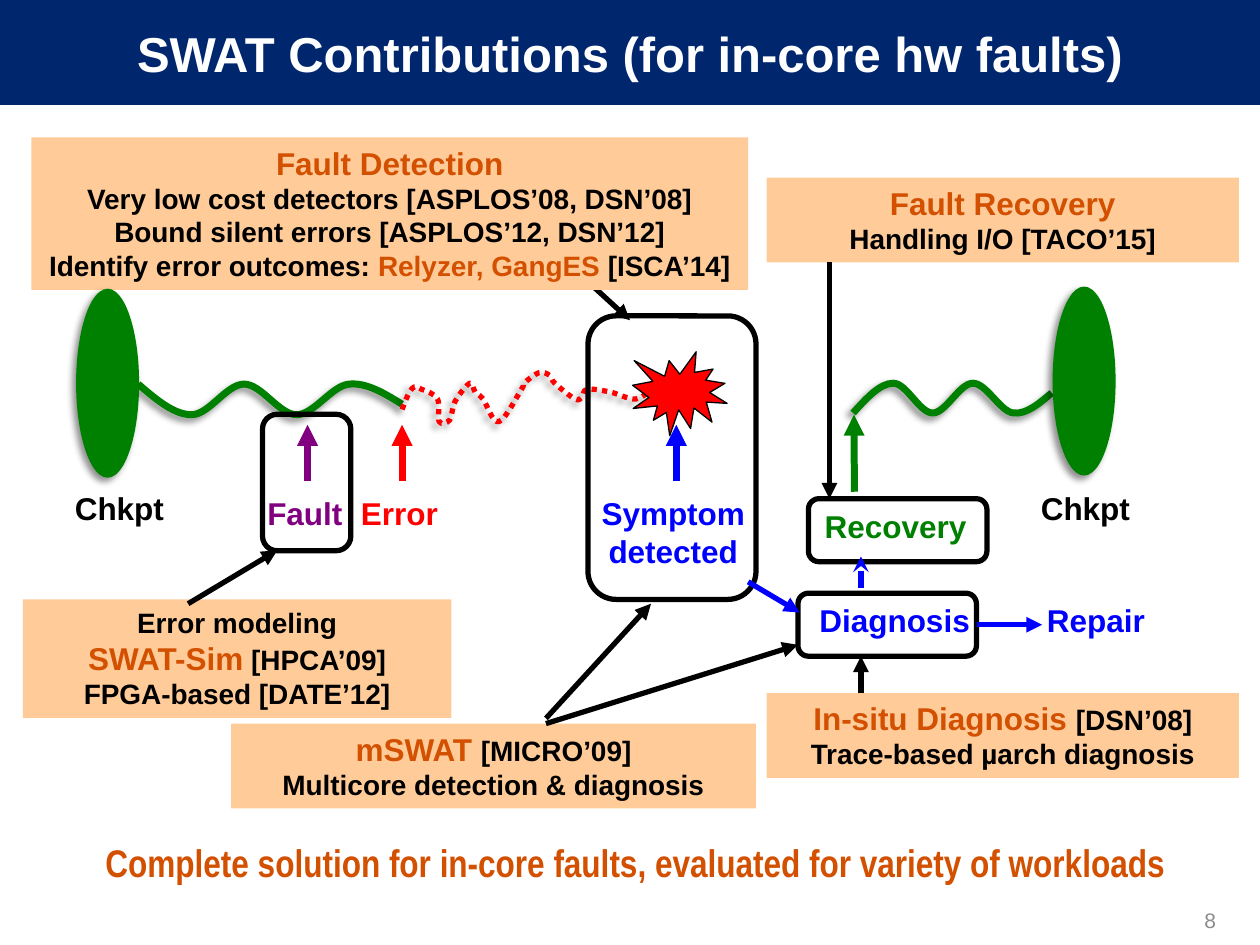
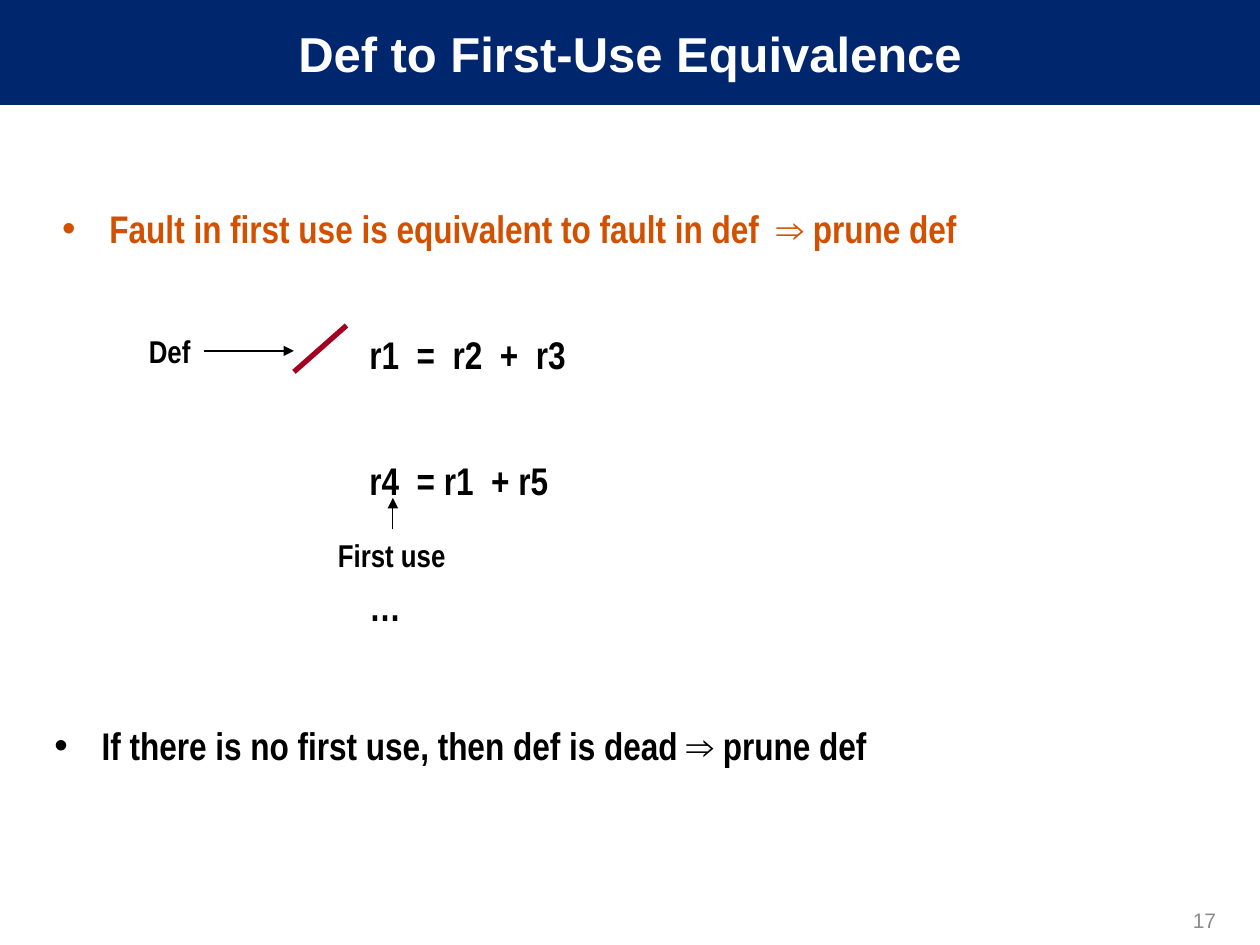
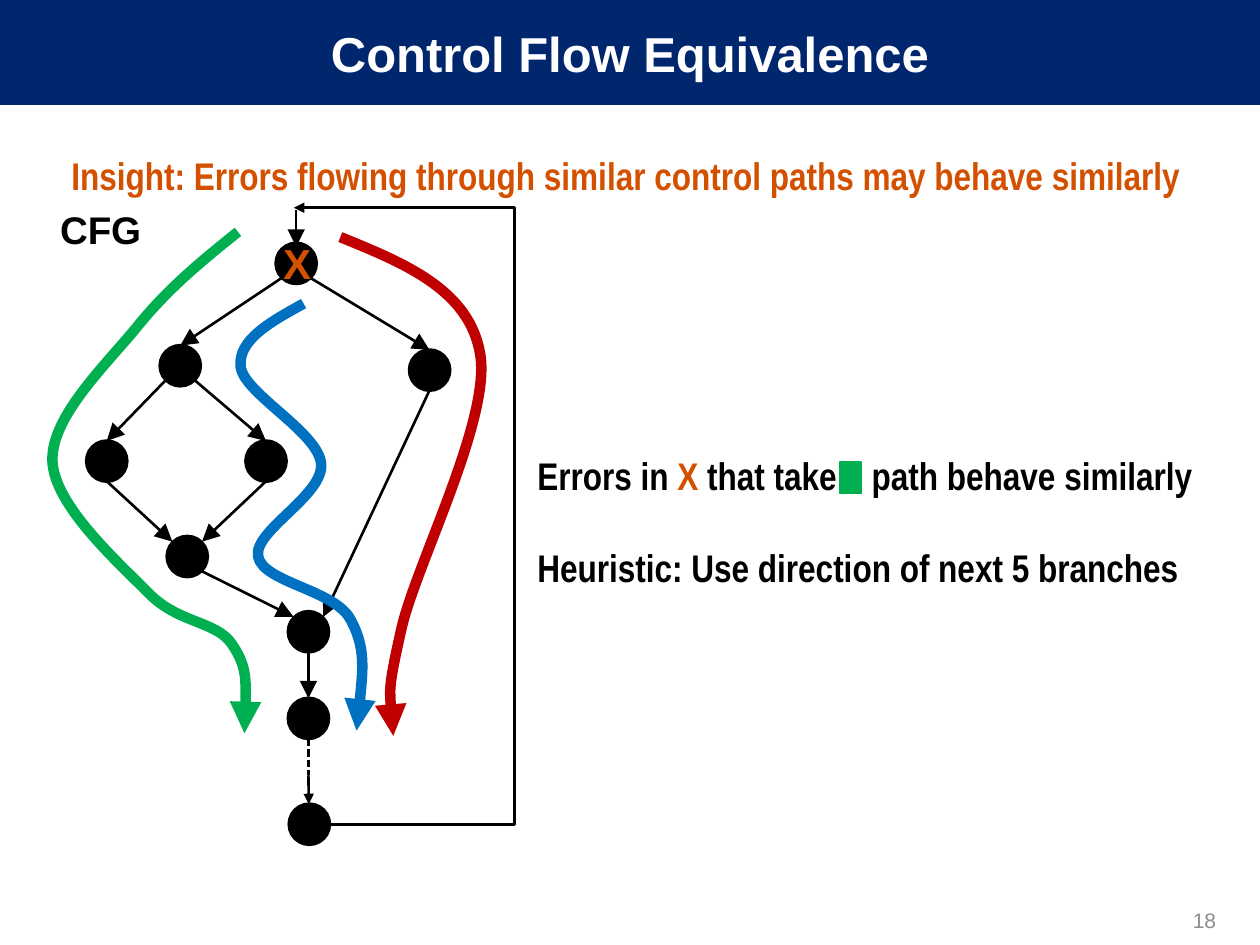
from pptx import Presentation
from pptx.dml.color import RGBColor
from pptx.enum.dml import MSO_LINE
from pptx.enum.shapes import MSO_CONNECTOR, MSO_SHAPE
from pptx.enum.text import MSO_ANCHOR, MSO_AUTO_SIZE, PP_ALIGN
from pptx.oxml import parse_xml
from pptx.oxml.ns import nsdecls, qn
from pptx.util import Pt

NAVY = RGBColor(0x00, 0x26, 0x6E)
WHITE = RGBColor(0xFF, 0xFF, 0xFF)
BLACK = RGBColor(0x00, 0x00, 0x00)
GRAY = RGBColor(0x8C, 0x8C, 0x8C)
ORANGE = RGBColor(0xD2, 0x50, 0x00)
PEACH = RGBColor(0xFF, 0xCC, 0x99)
GREEN = RGBColor(0x00, 0x80, 0x00)
RED = RGBColor(0xFF, 0x00, 0x00)
BLUE = RGBColor(0x00, 0x00, 0xFF)
PURPLE = RGBColor(0x80, 0x00, 0x80)
CRIMSON = RGBColor(0xA5, 0x00, 0x21)
PATH_GREEN = RGBColor(0x00, 0xB0, 0x50)
PATH_BLUE = RGBColor(0x00, 0x70, 0xC0)
PATH_RED = RGBColor(0xC0, 0x00, 0x00)

CENTER, LEFT, RIGHT = PP_ALIGN.CENTER, PP_ALIGN.LEFT, PP_ALIGN.RIGHT
MIDDLE = MSO_ANCHOR.MIDDLE
STRAIGHT, ELBOW = MSO_CONNECTOR.STRAIGHT, MSO_CONNECTOR.ELBOW
DOTS, DASHES = MSO_LINE.ROUND_DOT, MSO_LINE.SQUARE_DOT
OVAL, RECT = MSO_SHAPE.OVAL, MSO_SHAPE.RECTANGLE
ROUNDED, BURST = MSO_SHAPE.ROUNDED_RECTANGLE, MSO_SHAPE.EXPLOSION1
NARROW = "Arial Narrow"

NO_SHADOW = f"<a:effectLst {nsdecls('a')}/>"
SOFT_SHADOW = (f'<a:effectLst {nsdecls("a")}><a:outerShdw blurRad="50800" dist="38100" dir="8100000">'
               '<a:srgbClr val="000000"><a:alpha val="43000"/></a:srgbClr></a:outerShdw></a:effectLst>')


def add_text(s, box, paras, size=18, color=BLACK, align=CENTER, fill=None,
             font="Arial", wrap=True, bold=True):
    """Each paragraph is a string or a list of (text, size, color) runs."""
    sp = s.shapes.add_textbox(*map(Pt, box))
    if fill is not None:
        sp.fill.solid()
        sp.fill.fore_color.rgb = fill
    tf = sp.text_frame
    tf.word_wrap = wrap
    for i, para in enumerate(paras):
        p = tf.paragraphs[0] if i == 0 else tf.add_paragraph()
        p.alignment = align
        runs = [(para, size, color)] if isinstance(para, str) else para
        for text, run_size, run_color in runs:
            r = p.add_run()
            r.text = text
            r.font.name, r.font.size, r.font.bold = font, Pt(run_size), bold
            r.font.color.rgb = run_color
    return sp


def add_stroke(s, points, color=BLACK, width=3, tail="triangle", dash=None,
               effect=NO_SHADOW, kind=STRAIGHT, head_size="med"):
    """Two points give a connector, more give a smooth curve through them."""
    if len(points) == 2:
        sp = s.shapes.add_connector(kind, *(Pt(v) for point in points for v in point))
    else:
        knots = [(Pt(x), Pt(y)) for x, y in points]
        builder = s.shapes.build_freeform(*knots[0])
        builder.add_line_segments(knots[1:], close=False)
        sp = builder.convert_to_shape()
        sp.fill.background()
        # Bend each segment: tangents follow the neighbouring knots
        local = [(int(pt.get("x")), int(pt.get("y"))) for pt in sp.element.iter(qn("a:pt"))]
        segments = list(sp.element.iter(qn("a:lnTo")))
        for i, segment in enumerate(segments):
            a, b = local[i], local[i + 1]
            before, after = local[max(i - 1, 0)], local[min(i + 2, len(segments))]
            c1 = [p + (q - o) / 6 for o, p, q in zip(before, a, b)]
            c2 = [q - (u - p) / 6 for p, q, u in zip(a, b, after)]
            if i == 0:
                c1 = [(p + c) / 2 for p, c in zip(a, c2)]
            elif i == len(segments) - 1:
                c2 = [(c + q) / 2 for c, q in zip(c1, b)]
            pts = "".join(f'<a:pt x="{round(x)}" y="{round(y)}"/>' for x, y in (c1, c2, b))
            segment.getparent().replace(
                segment, parse_xml(f'<a:cubicBezTo {nsdecls("a")}>{pts}</a:cubicBezTo>'))
    sp.line.color.rgb = color
    sp.line.width = Pt(width)
    if dash is not None:
        sp.line.dash_style = dash
    if tail:
        sp.line._get_or_add_ln().append(parse_xml(
            f'<a:tailEnd {nsdecls("a")} type="{tail}" w="{head_size}" len="{head_size}"/>'))
    sp.element.spPr.append(parse_xml(effect))
    return sp


prs = Presentation()
prs.slide_width, prs.slide_height = Pt(720), Pt(540)

# Shared title band and slide number
slides = []
for title, number in (("SWAT Contributions (for in-core hw faults)", 8),
                      ("Def to First-Use Equivalence", 17),
                      ("Control Flow Equivalence", 18)):
    s = prs.slides.add_slide(prs.slide_layouts[5])
    sp = s.shapes.title
    sp.left, sp.top, sp.width, sp.height = Pt(0), Pt(0), Pt(720), Pt(60)
    sp.fill.solid()
    sp.fill.fore_color.rgb = NAVY
    tf = sp.text_frame
    tf.text = title
    tf.auto_size = MSO_AUTO_SIZE.NONE
    tf.vertical_anchor = MIDDLE
    p = tf.paragraphs[0]
    p.alignment = CENTER
    font = p.runs[0].font
    font.name, font.size, font.bold = "Arial", Pt(28), True
    font.color.rgb = WHITE
    sp = add_text(s, (534, 511.5, 168, 28.5), [str(number)], 12, GRAY, RIGHT, bold=False)
    sp.text_frame.vertical_anchor = MIDDLE
    slides.append(s)
contributions, first_use, control_flow = slides

# Slide 1: contribution boxes
s = contributions
add_stroke(s, [(324, 150), (360, 183)])
for box, paras in (
    ((18, 78.5, 409.5, 87.25), [
        [("Fault Detection", 18, ORANGE)],
        "Very low cost detectors [ASPLOS’08, DSN’08]",
        "Bound silent errors [ASPLOS’12, DSN’12]",
        [("Identify error outcomes: ", 16, BLACK), ("Relyzer, GangES ", 16, ORANGE),
         ("[ISCA’14]", 16, BLACK)]]),
    ((438, 101.5, 270, 48.5), [[("Fault Recovery", 18, ORANGE)], "Handling I/O [TACO’15]"]),
    ((13, 342.5, 245, 67.75), [
        "Error modeling",
        [("SWAT-Sim", 18, ORANGE), (" [HPCA’09]", 16, BLACK)],
        "FPGA-based [DATE’12]"]),
    ((132, 413.5, 300, 48.5), [
        [("mSWAT ", 18, ORANGE), ("[MICRO’09]", 16, BLACK)],
        "Multicore detection & diagnosis"]),
    ((438, 396, 270, 48.5), [
        [("In-situ Diagnosis ", 18, ORANGE), ("[DSN’08]", 16, BLACK)],
        "Trace-based µarch diagnosis"]),
):
    add_text(s, box, paras, 16, fill=PEACH)

# Execution timeline between checkpoints
add_stroke(s, [(79, 219.5), (109.5, 237), (139.5, 219.5), (169.5, 237), (199.5, 219.5), (229.75, 231)],
           GREEN, 4, None, effect=SOFT_SHADOW)
add_stroke(s, [(229.75, 234), (235.5, 222), (241, 222.5), (250, 228), (251, 241), (257, 240),
               (260, 229.5), (268.5, 219), (271.5, 224), (276, 228), (285, 241), (298, 222.5),
               (299.5, 219), (308, 213), (314, 214.5), (317, 219), (328.5, 228), (332.5, 227),
               (335.5, 222.5), (348.5, 224), (363.5, 228), (373.5, 220.5)],
           RED, 3, None, DOTS, SOFT_SHADOW)
add_stroke(s, [(487.5, 236), (510.5, 219), (533, 236), (556, 219), (579, 236), (601, 224.5)],
           GREEN, 4, None, effect=SOFT_SHADOW)
for kind, box, color, effect in ((OVAL, (43.5, 165, 36, 108), GREEN, SOFT_SHADOW),
                                 (OVAL, (601.5, 163.75, 36, 108), GREEN, SOFT_SHADOW),
                                 (BURST, (361.5, 201, 54, 48), RED, NO_SHADOW)):
    sp = s.shapes.add_shape(kind, *map(Pt, box))
    sp.fill.solid()
    sp.fill.fore_color.rgb = color
    if kind == BURST:
        sp.line.color.rgb = BLACK
        sp.line.width = Pt(0.75)
    else:
        sp.line.fill.background()
    sp.element.spPr.append(parse_xml(effect))

# Outlines around the stages; the last one is the diagnosis stage
for box in ((336, 180.5, 96, 162), (150, 236.75, 50.5, 78), (462, 285, 102, 36), (456, 339, 102, 36)):
    diagnosis = s.shapes.add_shape(ROUNDED, *map(Pt, box))
    diagnosis.shadow.inherit = False
    diagnosis.fill.background()
    diagnosis.line.color.rgb = BLACK
    diagnosis.line.width = Pt(3)

for start, end, color, width in (
    ((175.75, 275), (175.75, 242.75), PURPLE, 4),
    ((229.75, 275), (229.75, 242.75), RED, 4),
    ((386.5, 275), (386.5, 242.75), BLUE, 4),
    ((488.25, 281), (488, 237), GREEN, 4),
    ((427.5, 332.5), (457, 350), BLUE, 3),
    ((492, 396), (492, 375), BLACK, 3),
    ((474, 150), (474, 285), BLACK, 3),
    ((107.5, 345), (158.5, 314.5), BLACK, 3),
    ((312, 410.5), (372, 345), BLACK, 3),
    ((312, 413.5), (456, 368.5), BLACK, 3),
):
    add_stroke(s, [start, end], color, width)
add_stroke(s, [(492, 336), (492, 318)], BLUE, tail="stealth")
repair_arrow = add_stroke(s, [(558, 357), (595.5, 357)], BLUE)
repair_arrow.begin_connect(diagnosis, 3)

for box, lines, color in (
    ((35.25, 276, 66, 29), ["Chkpt"], BLACK),
    ((587.25, 276, 66, 29), ["Chkpt"], BLACK),
    ((145.5, 278.75, 57.5, 29), ["Fault"], PURPLE),
    ((199, 278.75, 58.5, 29), ["Error"], RED),
    ((336.25, 278.75, 97, 51), ["Symptom", "detected"], BLUE),
    ((462.25, 286, 99, 29), ["Recovery"], GREEN),
    ((460.75, 340, 101, 29), ["Diagnosis"], BLUE),
    ((591, 340, 70.5, 29), ["Repair"], BLUE),
):
    add_text(s, box, lines, 18, color, wrap=False)
add_text(s, (18, 476, 690, 34),
         ["Complete solution for in-core faults, evaluated for variety of workloads"],
         22, ORANGE, font=NARROW)

# Slide 2: bullets and code lines, as text, space before, left margin, bullet flag
s = first_use
rows = (
    ([("Fault in first use is equivalent to fault in def  ⇒ prune def", 22, ORANGE)], 12.2, 31.5, True),
    ("r1  =  r2  +  r3", 40.25, 180, False),
    ("r4  = r1  + r5", 40.25, 180, False),
    ("…", 40.25, 180, False),
    ("If there is no first use, then def is dead ⇒ prune def", 48, 27, True),
)
sp = add_text(s, (24, 108.5, 678, 378), [row[0] for row in rows], 22, align=LEFT, font=NARROW)
for p, (_, before, margin, bulleted) in zip(sp.text_frame.paragraphs, rows):
    p.line_spacing = 1.2
    p.space_before = Pt(before)
    pPr = p._p.get_or_add_pPr()
    pPr.set("marL", str(Pt(margin)))
    if bulleted:
        pPr.set("indent", str(-Pt(27)))
        pPr.append(parse_xml(f'<a:buFont {nsdecls("a")} typeface="Arial"/>'))
        pPr.append(parse_xml(f'<a:buChar {nsdecls("a")} char="•"/>'))

# Def and first-use markers
add_stroke(s, [(168, 212.5), (198, 186)], CRIMSON, tail=None)
add_text(s, (78, 186, 39, 29), ["Def"], align=LEFT, font=NARROW, wrap=False)
add_stroke(s, [(116.5, 200.5), (168, 200.5)], width=0.75)
add_text(s, (186, 302.5, 77, 29), ["First use"], align=LEFT, font=NARROW, wrap=False)
add_stroke(s, [(224.5, 302.5), (224.5, 284.5)], width=0.75)

# Slide 3: insight line
s = control_flow
sp = add_text(s, (0, 78, 720, 57),
              ["Insight: Errors flowing through similar control paths may behave similarly"],
              22, ORANGE, font=NARROW)
sp.text_frame.margin_right = Pt(12)
sp.text_frame.paragraphs[0].line_spacing = 1.2
sp.text_frame.paragraphs[0].space_before = Pt(12.2)

# Control flow graph: node centres, and rim points by compass direction
RADIUS, DIAGONAL = 11.5, 8.5
nodes = {
    "x": (169.25, 150.5), "left": (103, 209), "right": (245.5, 211.5),
    "outer": (61, 263.5), "inner": (152, 263.5), "merge": (107, 318),
    "join": (176.25, 361), "next": (176.25, 410.5), "last": (176.75, 471),
}
rim = {
    "N": (0, -RADIUS), "S": (0, RADIUS),
    "NW": (-DIAGONAL, -DIAGONAL), "NE": (DIAGONAL, -DIAGONAL),
    "SW": (-DIAGONAL, DIAGONAL), "SE": (DIAGONAL, DIAGONAL),
}
for x, y in nodes.values():
    sp = s.shapes.add_shape(OVAL, Pt(x - RADIUS), Pt(y - RADIUS), Pt(2 * RADIUS), Pt(2 * RADIUS))
    sp.shadow.inherit = False
    sp.fill.solid()
    sp.fill.fore_color.rgb = BLACK
    sp.line.color.rgb = BLACK
    sp.line.width = Pt(2)
for source, out, target, into in (
    ("x", "SE", "right", "N"), ("x", "SW", "left", "N"),
    ("left", "SE", "inner", "N"), ("left", "SW", "outer", "N"),
    ("inner", "S", "merge", "NE"), ("outer", "S", "merge", "NW"),
    ("merge", "SE", "join", "NW"), ("right", "S", "join", "NE"),
    ("join", "S", "next", "N"),
):
    ends = [tuple(map(sum, zip(nodes[node], rim[side]))) for node, side in ((source, out), (target, into))]
    add_stroke(s, ends, width=1.5, head_size="lg")
add_stroke(s, [(176.25, 422), (176.25, 443)], width=1.5, tail=None, dash=DASHES)
add_stroke(s, [(176.25, 443), (176.5, 459.5)], width=1.5)
add_stroke(s, [(169.25, 120), (169.25, 141)], width=1.5, head_size="lg")
add_text(s, (154.75, 132, 31, 36), ["X"], 24, ORANGE, LEFT, wrap=False)
sp = add_text(s, (24, 113, 67, 36.5), ["CFG"], 22, fill=WHITE, wrap=False)
tf = sp.text_frame
tf.margin_left = tf.margin_right = Pt(10)
tf.margin_top = tf.margin_bottom = Pt(5)

# Loop back from the last node to the entry
loop_back = add_stroke(s, [(188.5, 471), (168, 118.75)], width=1.5, kind=ELBOW)
guides = loop_back.element.spPr.find(qn("a:prstGeom")).find(qn("a:avLst"))
guides.append(parse_xml(f'<a:gd {nsdecls("a")} name="adj1" fmla="val -514900"/>'))

# Three paths through the graph
for color, knots in (
    (PATH_GREEN, [(136, 132.5), (79, 186), (30, 263.5), (85, 339), (132.5, 368), (139.75, 419)]),
    (PATH_BLUE, [(173.5, 173.5), (137.5, 209.5), (183.5, 265), (147.5, 318), (200, 353.5), (203.75, 417.5)]),
    (PATH_RED, [(194.5, 135.5), (274.5, 203), (229.5, 359), (224.75, 420.5)]),
):
    add_stroke(s, knots, color, 6)

# Findings, with a tab that leaves room for the path swatch
sp = add_text(s, (300, 255, 408, 87), [
    [("Errors in ", 22, BLACK), ("X", 22, ORANGE), (" that take\tpath behave similarly", 22, BLACK)],
    "Heuristic: Use direction of next 5 branches"], 22, align=LEFT, font=NARROW)
errors, heuristic = sp.text_frame.paragraphs
errors._p.get_or_add_pPr().append(parse_xml(
    f'<a:tabLst {nsdecls("a")}><a:tab pos="{Pt(191)}" algn="l"/></a:tabLst>'))
heuristic.space_before = Pt(26)
swatch = s.shapes.add_shape(RECT, Pt(480), Pt(264), Pt(12), Pt(18))
swatch.shadow.inherit = False
swatch.fill.solid()
swatch.fill.fore_color.rgb = PATH_GREEN
swatch.line.color.rgb = PATH_GREEN
swatch.line.width = Pt(0.75)

prs.save("out.pptx")
